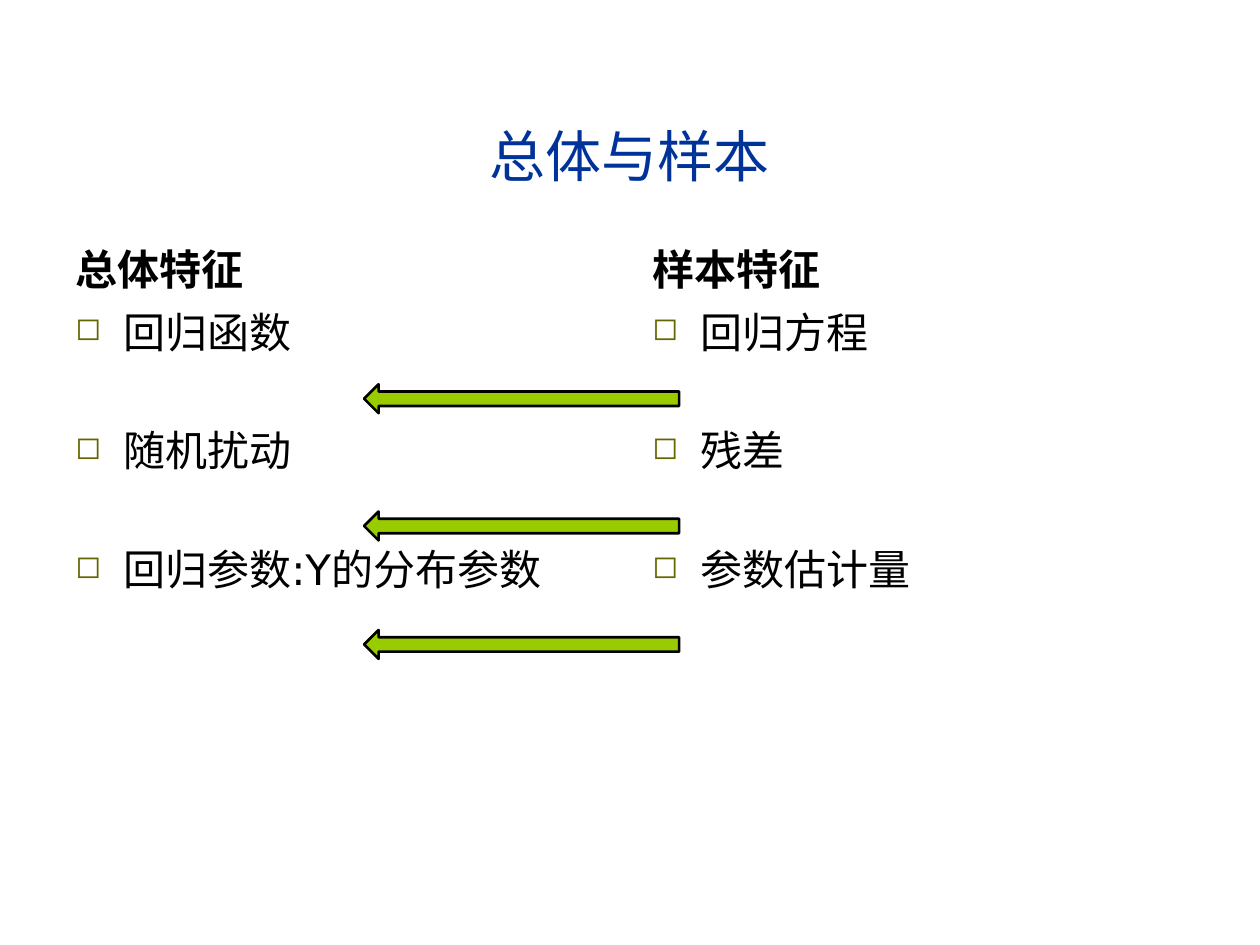
from lxml.etree import SubElement
from pptx import Presentation
from pptx.dml.color import RGBColor
from pptx.enum.shapes import MSO_SHAPE
from pptx.enum.text import MSO_ANCHOR, PP_ALIGN
from pptx.oxml.ns import qn
from pptx.util import Inches, Pt

COLORS = {"title": "003399", "text": "000000", "bullet": "666600",
          "arrow": "99CC00", "outline": "000000"}
COLUMNS, ROWS = 100, 75
INDENT = Inches(0.38)

prs = Presentation()
prs.slide_width, prs.slide_height = Inches(10), Inches(7.5)


def grid(column, row, columns, rows):
    """Turn grid cells into left, top, width and height on the slide."""
    cell_width, cell_height = prs.slide_width / COLUMNS, prs.slide_height / ROWS
    return (round(column * cell_width), round(row * cell_height),
            round(columns * cell_width), round(rows * cell_height))


def write(frame, lines, size=24, font="DejaVu Sans", color="text", bold=False,
          align=PP_ALIGN.LEFT, anchor=MSO_ANCHOR.TOP, bullet=None, gap=0):
    frame.word_wrap = True
    frame.vertical_anchor = anchor
    for number, line in enumerate(lines):
        paragraph = frame.add_paragraph() if number else frame.paragraphs[0]
        paragraph.alignment = align
        paragraph.space_before = Pt(gap if number else 0)
        if bullet:
            properties = paragraph._p.get_or_add_pPr()
            properties.set("marL", str(INDENT))
            properties.set("indent", str(-INDENT))
            bullet_color = SubElement(properties, qn("a:buClr"))
            SubElement(bullet_color, qn("a:srgbClr"), val=COLORS["bullet"])
            SubElement(properties, qn("a:buSzPct"), val="75000")
            SubElement(properties, qn("a:buChar"), char=bullet)
        run = paragraph.add_run()
        run.text = line
        run.font.name = font
        run.font.size = Pt(size)
        run.font.bold = bold
        run.font.color.rgb = RGBColor.from_string(COLORS[color])


slide = prs.slides.add_slide(prs.slide_layouts[5])

title = slide.shapes.title
title.left, title.top, title.width, title.height = grid(5, 3, 90, 12.5)
write(title.text_frame, ["总体与样本"], size=32, font="Arial", color="title",
      align=PP_ALIGN.CENTER, anchor=MSO_ANCHOR.BOTTOM)

comparison = [
    (5, "总体特征", ["回归函数", "随机扰动", "回归参数:Y的分布参数"]),
    (50.8, "样本特征", ["回归方程", "残差", "参数估计量"]),
]
for column, heading, features in comparison:
    heading_box = slide.shapes.add_textbox(*grid(column, 16.8, 44.2, 7))
    write(heading_box.text_frame, [heading], bold=True, anchor=MSO_ANCHOR.BOTTOM)
    feature_box = slide.shapes.add_textbox(*grid(column, 23.8, 44.2, 43.2))
    write(feature_box.text_frame, features, bullet="◻", gap=39)

for row in (30.5, 40.6, 50):
    arrow = slide.shapes.add_shape(MSO_SHAPE.LEFT_ARROW, *grid(28.9, row, 25, 2.3))
    arrow.shadow.inherit = False
    arrow.fill.solid()
    arrow.fill.fore_color.rgb = RGBColor.from_string(COLORS["arrow"])
    arrow.line.color.rgb = RGBColor.from_string(COLORS["outline"])
    arrow.line.width = Pt(1.5)

prs.save("out.pptx")
